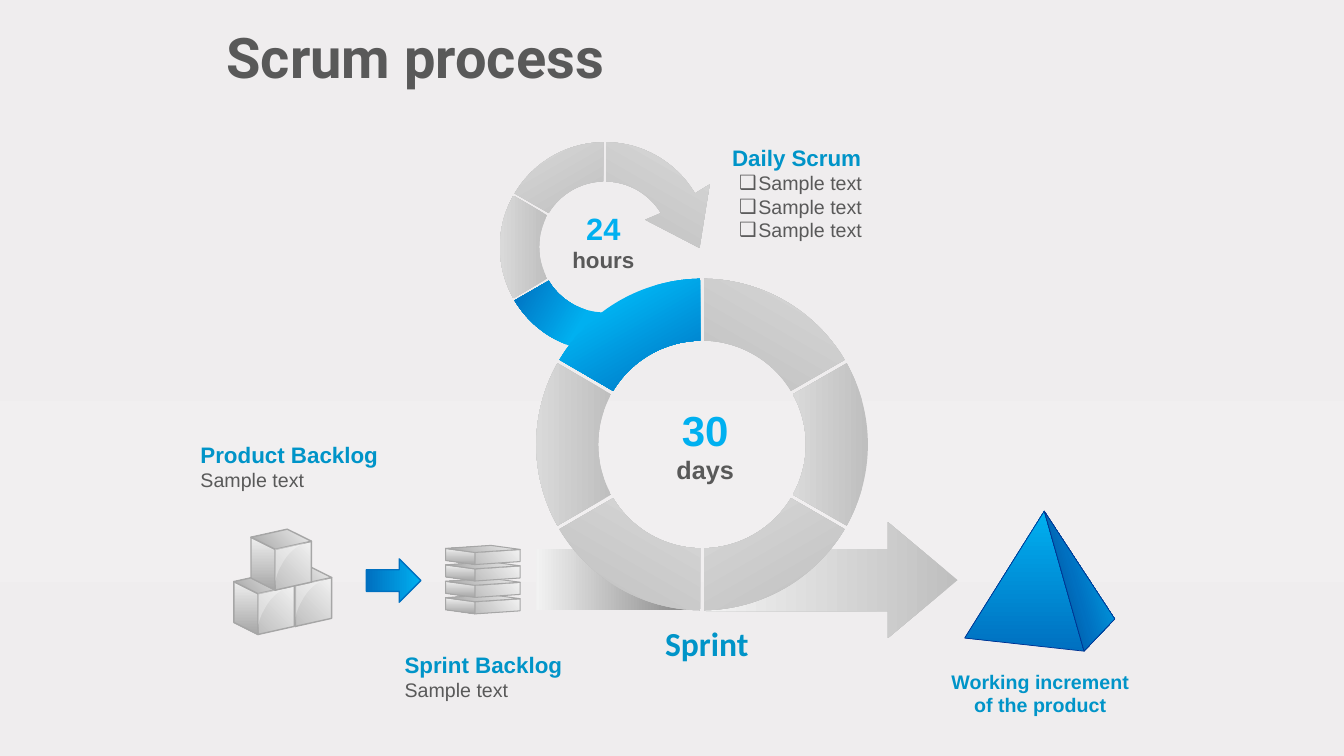
from math import asin, cos, radians, sin, tan

from lxml import etree
from pptx import Presentation
from pptx.dml.color import RGBColor
from pptx.enum.shapes import MSO_SHAPE
from pptx.enum.text import MSO_AUTO_SIZE, PP_ALIGN
from pptx.oxml.ns import qn
from pptx.util import Inches, Pt

LEFT, CENTER = PP_ALIGN.LEFT, PP_ALIGN.CENTER
GROW, FIXED = MSO_AUTO_SIZE.SHAPE_TO_FIT_TEXT, MSO_AUTO_SIZE.NONE
UP_ARROW, RIGHT_ARROW, RECT = MSO_SHAPE.UP_ARROW, MSO_SHAPE.RIGHT_ARROW, MSO_SHAPE.RECTANGLE

# All lengths are columns and rows of this grid
CELL = Inches(0.1)
COLS, ROWS = 133.33, 75

SILVER = [(0, "BFBFBF"), (100, "D9D9D9")]
PALE = [(0, "F2F2F2"), (100, "BFBFBF")]
SHADE = [(0, "EEEEEE"), (100, "A6A6A6")]
AZURE = [(30, "00B0F0"), (100, "0070C0")]
HEAD, SKY, GREY = "0094C8", "00B0F0", "595959"

prs = Presentation()
prs.slide_width, prs.slide_height = int(COLS * CELL), ROWS * CELL
s = prs.slides.add_slide(prs.slide_layouts[6])


def style(sp, stops, angle, line=None, width=1.0):
    """Fill with a linear gradient of hex colours and set the outline."""
    sp.fill.solid()
    old = next(s.element.iter(qn("p:bgPr"))) if sp is s.background else sp.element.spPr
    old = old.find(qn("a:solidFill"))
    grad = etree.Element(qn("a:gradFill"), rotWithShape="1")
    gs_list = etree.SubElement(grad, qn("a:gsLst"))
    for pos, color in stops:
        gs = etree.SubElement(gs_list, qn("a:gs"), pos=str(pos * 1000))
        etree.SubElement(gs, qn("a:srgbClr"), val=color)
    etree.SubElement(grad, qn("a:lin"), ang=str(angle * 60000), scaled="0")
    old.getparent().replace(old, grad)
    if sp is s.background:
        return
    sp.shadow.inherit = False
    if line:
        sp.line.color.rgb = RGBColor.from_string(line)
        sp.line.width = Pt(width)
    else:
        sp.line.fill.background()


def outline(steps, *look):
    """Draw a closed shape: two numbers make a line, six make a curve."""
    pts = [(step[i] * CELL, step[i + 1] * CELL)
           for step in steps for i in range(0, len(step), 2)]
    fb = s.shapes.build_freeform(*pts[0], scale=1.0)
    fb.add_line_segments(pts[1:], close=True)
    sp = fb.convert_to_shape()
    lines = iter(list(sp.element.spPr.iter(qn("a:lnTo"))))
    for step in steps[1:]:
        first = next(lines)
        if len(step) == 6:
            curve = etree.Element(qn("a:cubicBezTo"))
            first.addprevious(curve)
            for segment in (first, next(lines), next(lines)):
                curve.append(segment[0])
                segment.getparent().remove(segment)
    style(sp, *look)
    return sp


# Background
style(s.background, [(0, "EFEDEE"), (53, "F1EFF0"), (77, "EFEDEE"), (100, "EFEBEC")], 90)

# Product backlog cubes and sprint backlog boards:
# front corner, right edge, left edge, height, line width, gloss
blocks = [(x, y, (3.6, -0.8), (-2.4, -1.2), 4.05, 1, True)
          for x, y in [(29.3, 58.1), (25.6, 58.9), (27.3, 54.5)]]
blocks += [(47.1, 59.7 - 1.63 * i, (4.5, -0.3), (-2.9, -0.4), 1.2, 0.75, False)
           for i in range(4)]
gloss = [(0, 0), (3.2, -0.7), (2.1, -0.4, 1.2, 0.4, 0.6, 1.6), (0.2, 2.3, 0, 2.9, 0, 3.6)]
for x, y, (rx, ry), (lx, ly), h, width, shiny in blocks:
    faces = [
        ([(0, 0), (rx, ry), (rx, ry + h), (0, h)], PALE, 135, "A6A6A6", width),
        ([(0, 0), (lx, ly), (lx, ly + h), (0, h)], SHADE, 90, "A6A6A6", width),
        ([(0, 0), (rx, ry), (rx + lx, ry + ly), (lx, ly)], SHADE, 135, "A6A6A6", width),
    ]
    if shiny:
        faces.append((gloss, PALE, 0))
    for face, *look in faces:
        sp = outline([tuple(v + (x, y)[i % 2] for i, v in enumerate(step))
                      for step in face], *look)
        if face is gloss:
            sp.fill.solid()
            sp.fill.fore_color.rgb = RGBColor.from_string("FFFFFF")
            clr = next(sp.element.spPr.iter(qn("a:srgbClr")))
            etree.SubElement(clr, qn("a:alpha"), val="30000")

# Rings: centre, outer and inner radius, half gap,
# then start angle, fill, gradient angle and arrow tip of each 60-degree segment
arrow_tip = [(70.4, 18.3), (69.4, 24.6), (64, 21.8)]
rings = [
    (60, 24.5, 10.4, 6.5, 0.13, [
        (150, SILVER, 180, []), (90, AZURE, 210, []),
        (270, SILVER, 300, arrow_tip), (210, SILVER, 240, [])]),
    (69.65, 44.1, 16.45, 10.3, 0.2, [
        (330, SILVER, 180, []), (150, SILVER, 180, []), (90, SILVER, 300, []),
        (270, SILVER, 300, []), (30, SILVER, 240, []), (210, AZURE, 60, [])]),
]
# Sprint bars lie between the two rings: shape, box, rotation, fill, angle, adjustments, line
bars = [
    (UP_ARROW, (36.9, 54.9, 4.3, 5.4), 90, [(0, "00B0F0"), (100, "0070C0")], 90, [], "0070C0"),
    (RIGHT_ARROW, (70, 51.8, 25, 11.5), 0, [(0, "BFBFBF"), (100, "F2F2F2")], 180,
     [0.534, 0.601], None),
    (RECT, (53.2, 54.5, 16.2, 6), 0, [(0, "808080"), (100, "F2F2F2")], 180, [], None),
]
for cx, cy, outer, inner, gap, segments in rings:
    for start, stops, angle, tip in segments:
        arcs = []
        for radius, a, b in ((outer, start, start + 60), (inner, start + 60, start)):
            turn = 1 if b > a else -1
            trim = turn * asin(gap / radius)
            t = radians(a) + trim
            half = (radians(b) - trim - t) / 2
            k = 4 / 3 * tan(half / 4)
            arc = [(cx + radius * cos(t), cy + radius * sin(t))]
            for u in (t, t + half):
                v = u + half
                arc.append((cx + radius * (cos(u) - k * sin(u)),
                            cy + radius * (sin(u) + k * cos(u)),
                            cx + radius * (cos(v) + k * sin(v)),
                            cy + radius * (sin(v) - k * cos(v)),
                            cx + radius * cos(v), cy + radius * sin(v)))
            arcs.append(arc)
        outline(arcs[0] + tip + arcs[1], stops, angle)
    while bars:
        kind, box, rotation, stops, angle, adjustments, line = bars.pop(0)
        sp = s.shapes.add_shape(kind, *[int(v * CELL) for v in box])
        sp.rotation = rotation
        for i, value in enumerate(adjustments):
            sp.adjustments[i] = value
        style(sp, stops, angle, line)

# Product pyramid
apex, base = (103.6, 50.7), (107.55, 64.6)
outline([apex, base, (95.7, 63.3)], [(0, "0070C0"), (100, "00B0F0")], 270, "003192", 0.5)
outline([apex, (110.6, 61.4), base],
        [(0, "004282"), (45, "0070C0"), (100, "00B0F0")], 344, "003192", 0.5)

# Texts: box, wrap, alignment, font, lines of (text, size, colour, bold, bullet)
sample = ("Sample text", 14, GREY, False, False)
item = ("Sample text", 14, GREY, False, True)
texts = [
    ((66.05, 39.6, 7.8, 9.4), False, CENTER, "Arial",
     [("30", 30, SKY, True, False), ("days", 18, GREY, True, False)]),
    ((55.75, 20.3, 8.2, 7.4), False, CENTER, "Arial",
     [("24", 22, SKY, True, False), ("hours", 16, GREY, True, False)]),
    ((18.9, 43.25, 19.8, 6.1), False, LEFT, "Arial",
     [("Product Backlog", 16, HEAD, True, False), sample]),
    ((39.15, 64.1, 17.8, 6.1), False, LEFT, "Arial",
     [("Sprint Backlog", 16, HEAD, True, False), sample]),
    ((65, 61.3, 10.4, 5), False, LEFT, "Calibri", [("Sprint", 24, HEAD, True, False)]),
    ((71.65, 13.8, 15.6, 10.8), False, LEFT, "Arial",
     [("Daily Scrum", 16, HEAD, True, False)] + [item] * 3),
    ((93.2, 65.95, 20, 5.7), True, CENTER, "Arial",
     [("Working increment of the product", 14, HEAD, True, False)]),
    ((21.5, 2.5, 87.7, 8.3), True, LEFT, "Roboto",
     [("Scrum process", 40, GREY, True, False)]),
]
for box, wrap, align, font, lines in texts:
    title = font == "Roboto"
    tf = s.shapes.add_textbox(*[int(v * CELL) for v in box]).text_frame
    for name, value in {"word_wrap": wrap, "auto_size": FIXED if title else GROW}.items():
        setattr(tf, name, value)
    for i, (text, size, color, bold, bullet) in enumerate(lines):
        p = tf.add_paragraph() if i else tf.paragraphs[0]
        p.alignment = align
        if title:
            p.line_spacing = 0.9
        if bullet:
            pPr = p._p.get_or_add_pPr()
            pPr.set("marL", str(Inches(0.26)))
            pPr.set("indent", str(-Inches(0.19)))
            etree.SubElement(pPr, qn("a:buFont"), typeface="Arial")
            etree.SubElement(pPr, qn("a:buChar"), char="❑")
        r = p.add_run()
        r.text = text
        for name, value in {"name": font, "size": Pt(size), "bold": bold}.items():
            setattr(r.font, name, value)
        r.font.color.rgb = RGBColor.from_string(color)

prs.save("out.pptx")
